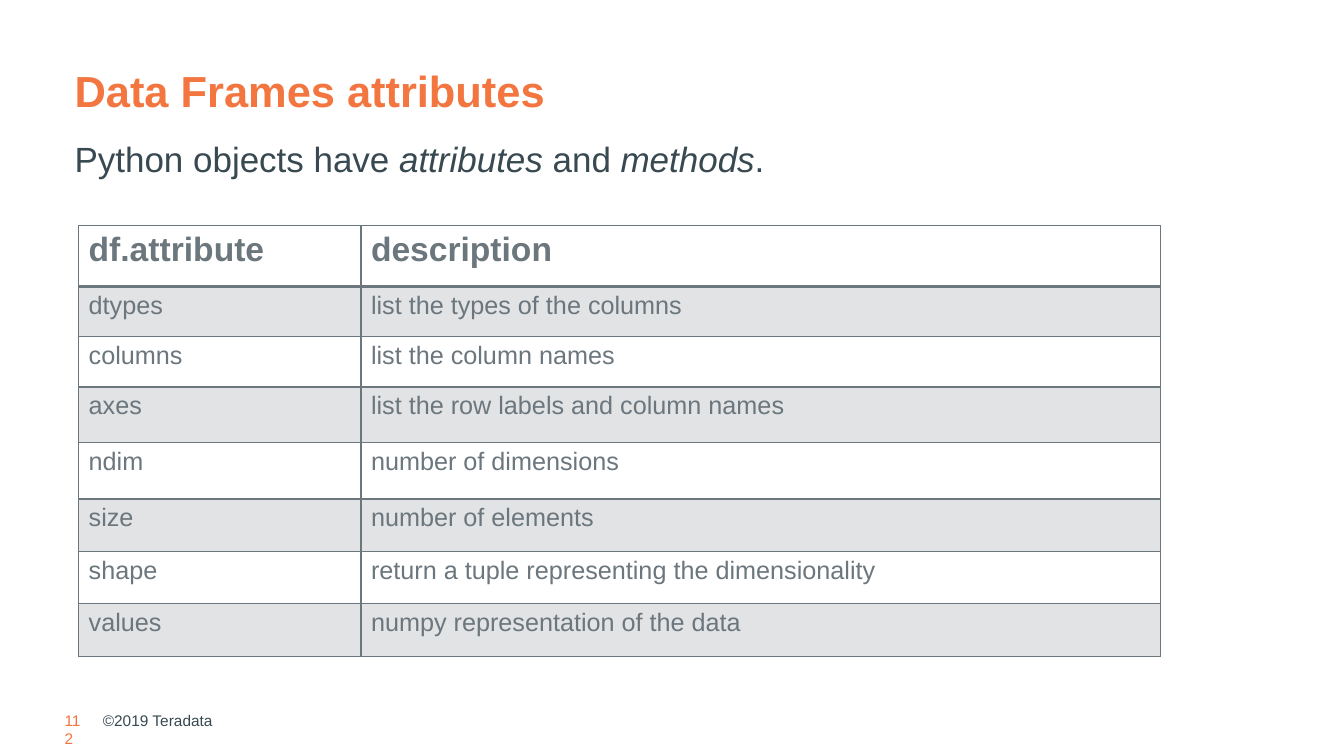
from lxml.etree import SubElement
from pptx import Presentation
from pptx.dml.color import RGBColor
from pptx.enum.text import MSO_ANCHOR, MSO_AUTO_SIZE, PP_ALIGN
from pptx.oxml.ns import qn
from pptx.util import Inches, Pt

# Content
TITLE = "Data Frames attributes"
INTRO = [("Python objects have ", False), ("attributes", True), (" and ", False),
         ("methods", True), (".", False)]
ATTRIBUTES = [
    ("df.attribute", "description"),
    ("dtypes", "list the types of the columns"),
    ("columns", "list the column names"),
    ("axes", "list the row labels and column names"),
    ("ndim", "number of dimensions"),
    ("size", "number of elements"),
    ("shape", "return a tuple representing the dimensionality"),
    ("values", "numpy representation of the data"),
]
PAGE_NUMBER = "112"
COPYRIGHT = "©2019 Teradata"

# Format
ORANGE = RGBColor(0xF3, 0x75, 0x3F)
SLATE = RGBColor(0x38, 0x49, 0x51)
GRAY = RGBColor(0x6B, 0x76, 0x7D)
COLUMN_WIDTHS = [2.8, 7.93]
ROW_HEIGHTS = [0.6, 0.5, 0.5, 0.55, 0.56, 0.52, 0.52, 0.52]
BAND_ALPHA = 20
LEFT = 0.64
FOOTER_TOP, FOOTER_HEIGHT = 7.05, 0.19


def format_font(font, color, size, **values):
    font.color.rgb = color
    for name, value in {"name": "Arial", "size": Pt(size), **values}.items():
        setattr(font, name, value)


def place(shape, left, top, width, height):
    shape.left, shape.top = Inches(left), Inches(top)
    shape.width, shape.height = Inches(width), Inches(height)


def format_frame(frame, **values):
    for name, value in {"word_wrap": True, "auto_size": MSO_AUTO_SIZE.NONE, **values}.items():
        setattr(frame, name, value)


def add_footer(slide, text, left, width, color, anchor):
    box = slide.shapes.add_textbox(Inches(left), Inches(FOOTER_TOP),
                                   Inches(width), Inches(FOOTER_HEIGHT))
    format_frame(box.text_frame, vertical_anchor=anchor, margin_left=0,
                 margin_top=0, margin_right=0, margin_bottom=0)
    paragraph = box.text_frame.paragraphs[0]
    paragraph.text = text
    format_font(paragraph.runs[0].font, color, 11)


def set_borders(cell, widths):
    properties = cell._tc.get_or_add_tcPr()
    for side, width in widths.items():
        line = SubElement(properties, qn(f"a:ln{side}"), w=str(Pt(width)))
        fill = SubElement(line, qn("a:solidFill"))
        SubElement(fill, qn("a:srgbClr"), val=str(GRAY))


def fill_band(cell):
    cell.fill.solid()
    cell.fill.fore_color.rgb = GRAY
    color = cell._tc.tcPr.find(f"{qn('a:solidFill')}/{qn('a:srgbClr')}")
    SubElement(color, qn("a:alpha"), val=str(BAND_ALPHA * 1000))


presentation = Presentation()
presentation.slide_width, presentation.slide_height = Inches(13.33), Inches(7.5)
slide = presentation.slides.add_slide(presentation.slide_layouts[1])

# Title
title = slide.shapes.title
place(title, LEFT, 0.43, 11.5, 0.78)
format_frame(title.text_frame, vertical_anchor=MSO_ANCHOR.BOTTOM)
paragraph = title.text_frame.paragraphs[0]
paragraph.text = TITLE
paragraph.alignment = PP_ALIGN.LEFT
paragraph.line_spacing = 0.9
format_font(paragraph.runs[0].font, ORANGE, 31, bold=True)

# Introduction
body = slide.placeholders[1]
place(body, LEFT, 1.23, 11.5, 0.52)
format_frame(body.text_frame, vertical_anchor=MSO_ANCHOR.TOP)
paragraph = body.text_frame.paragraphs[0]
properties = paragraph._p.get_or_add_pPr()
properties.set("marL", "0")
properties.set("indent", "0")
SubElement(properties, qn("a:buNone"))
paragraph.line_spacing = 1.2
paragraph.space_before = Pt(0)
for text, italic in INTRO:
    run = paragraph.add_run()
    run.text = text
    format_font(run.font, SLATE, 25, italic=italic)

# Attribute table
table = slide.shapes.add_table(
    len(ROW_HEIGHTS), len(COLUMN_WIDTHS), Inches(0.78), Inches(2.24),
    Inches(sum(COLUMN_WIDTHS)), Inches(sum(ROW_HEIGHTS))).table
table.first_row = table.horz_banding = False
for column, width in zip(table.columns, COLUMN_WIDTHS):
    column.width = Inches(width)
for index, (row, height, texts) in enumerate(zip(table.rows, ROW_HEIGHTS, ATTRIBUTES)):
    row.height = Inches(height)
    header = index == 0
    for cell, text in zip(row.cells, texts):
        cell.text = text
        format_font(cell.text_frame.paragraphs[0].runs[0].font, GRAY,
                    24 if header else 18, bold=header)
        set_borders(cell, {"L": 1, "R": 1, "T": 2 if index == 1 else 1,
                           "B": 2 if header else 1})
        if index % 2:
            fill_band(cell)
        else:
            cell.fill.background()

# Footer
add_footer(slide, PAGE_NUMBER, LEFT, 0.19, ORANGE, MSO_ANCHOR.TOP)
add_footer(slide, COPYRIGHT, 1.02, 3, SLATE, MSO_ANCHOR.MIDDLE)

presentation.save("out.pptx")
